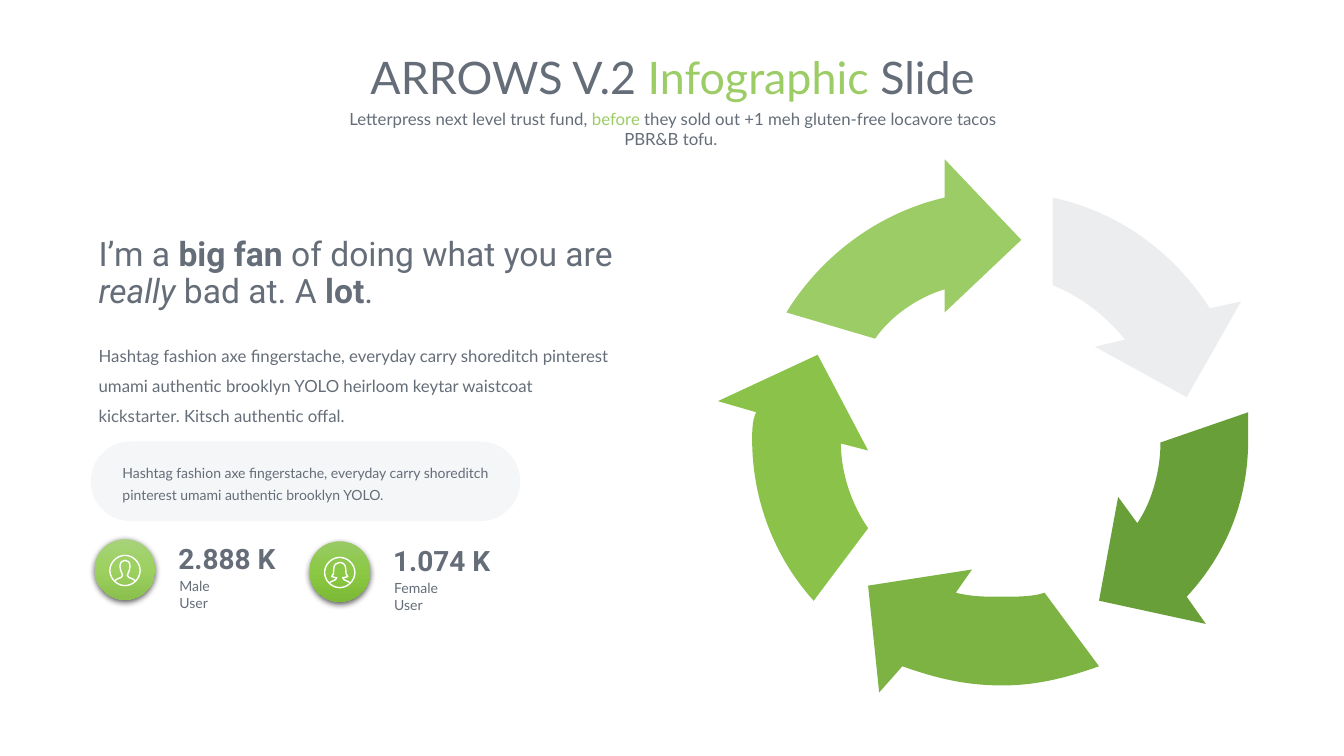
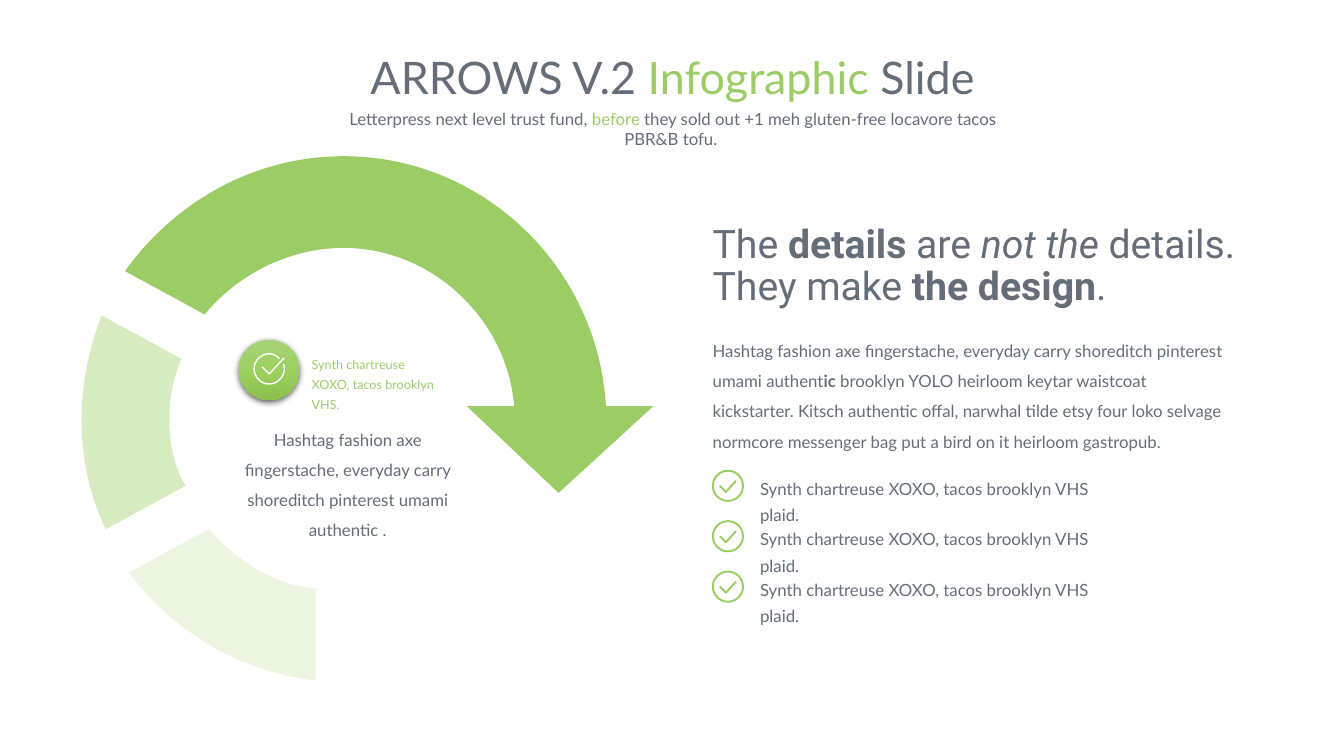
from pptx import Presentation
from pptx.dml.color import RGBColor
from pptx.enum.shapes import MSO_SHAPE as Shape
from pptx.enum.text import MSO_ANCHOR as Anchor, MSO_AUTO_SIZE as AutoSize, PP_ALIGN as Align
from pptx.oxml import parse_xml
from pptx.oxml.ns import nsdecls, qn
from pptx.util import Inches, Pt

COLORS = {
    "text": "656D78", "accent": "9CCC65", "white": "FFFFFF", "pill": "D6DCE5",
    "green_2": "8BC34A", "green_3": "7CB342", "green_4": "689F38", "grey": "ECEDEE",
    "pale": "EBF5E0", "soft": "D7EBC1",
}
SOFT_GREEN = ("A7D279", "9CD160", "8BC04F")
STRONG_GREEN = ("98CA65", "8BC944", "7CB936")
BODY = {"name": "Lato", "size": Pt(12)}
SMALL = {"name": "Lato", "size": Pt(10)}
TINY = {"name": "Lato", "size": Pt(9)}
TITLE = {"name": "Lato", "size": Pt(32)}
NUMBER = {"name": "Roboto", "size": Pt(20), "bold": True}
BOLD, ITALIC = {"bold": True}, {"italic": True}
ACCENT = {"color": "accent"}
INSETS = (0.1, 0.05)

# Outlines, relative to their ring: pairs are corners, sixes are Bezier curves
CYCLE_ARROWS = [
    ("accent", [(3.01, 0.8), (2.25, 0), (2.25, 0.38), (1.6, 0.53, 1.03, 0.95, 0.68, 1.52),
                (1.56, 1.78), (1.71, 1.56, 1.98, 1.37, 2.25, 1.29), (2.25, 1.52)]),
    ("green_2", [(0.99, 1.94), (0, 2.4), (0.38, 2.51), (0.34, 2.59, 0.34, 2.7, 0.34, 2.78),
                 (0.34, 3.39, 0.57, 3.96, 0.95, 4.38), (1.49, 3.66),
                 (1.33, 3.43, 1.22, 3.12, 1.22, 2.82), (1.49, 2.89)]),
    ("green_3", [(2.52, 4.07), (1.49, 4.23), (1.6, 5.29), (1.83, 5.03),
                 (2.14, 5.14, 2.44, 5.22, 2.82, 5.22), (3.17, 5.22, 3.47, 5.14, 3.78, 5.03),
                 (3.24, 4.3), (3.13, 4.34, 2.97, 4.34, 2.82, 4.34),
                 (2.63, 4.34, 2.52, 4.34, 2.36, 4.3)]),
    ("green_4", [(5.26, 2.51), (4.39, 2.81), (4.39, 3.08, 4.31, 3.39, 4.16, 3.61),
                 (3.97, 3.35), (3.78, 4.38), (4.84, 4.61), (4.65, 4.34),
                 (5.04, 3.92, 5.26, 3.39, 5.26, 2.78)]),
    ("grey", [(3.32, 0.38), (3.32, 1.25), (3.62, 1.37, 3.85, 1.56, 4.04, 1.79),
              (3.74, 1.86), (4.65, 2.36), (5.19, 1.41), (4.88, 1.48),
              (4.54, 0.95, 4.01, 0.53, 3.32, 0.38)]),
]
TURN_ARROW = [
    ("pale", [(1.26, 3.7), (0.47, 4.13), (0.91, 4.72, 1.58, 5.12, 2.32, 5.2),
              (2.32, 4.29), (1.89, 4.25, 1.54, 4.01, 1.26, 3.7)]),
    ("soft", [(0.2, 1.58), (0.08, 1.89, 0, 2.24, 0, 2.6), (0, 2.99, 0.08, 3.38, 0.24, 3.7),
              (1.03, 3.27), (0.91, 3.07, 0.87, 2.83, 0.87, 2.6),
              (0.87, 2.4, 0.91, 2.2, 0.99, 2.01)]),
    ("accent", [(5.2, 2.48), (5.12, 1.1, 3.98, 0, 2.6, 0), (1.69, 0, 0.91, 0.47, 0.43, 1.14),
                (1.22, 1.57), (1.54, 1.18, 2.05, 0.91, 2.6, 0.91),
                (3.47, 0.91, 4.22, 1.61, 4.29, 2.48), (3.82, 2.48), (4.73, 3.34),
                (5.67, 2.48)]),
]
# Icon lines, relative to the icon centre
LOWER_RING = [(0.15, 0.08, 0.08, 0.15, 0, 0.15), (-0.08, 0.15, -0.15, 0.08, -0.15, 0),
              (-0.15, -0.08, -0.08, -0.15, 0, -0.15)]
RING = [(0.15, 0), *LOWER_RING, (0.08, -0.15, 0.15, -0.08, 0.15, 0)]
MALE = [RING, [(-0.1, 0.1), (-0.08, 0.08, -0.06, 0.08, -0.04, 0.07),
               (-0.02, 0.06, -0.02, 0.04, -0.03, 0.03),
               (-0.04, 0.01, -0.05, -0.02, -0.05, -0.04),
               (-0.05, -0.09, -0.02, -0.1, 0, -0.1), (0.02, -0.1, 0.05, -0.09, 0.05, -0.04),
               (0.05, -0.02, 0.04, 0.01, 0.03, 0.03), (0.02, 0.04, 0.02, 0.06, 0.04, 0.07),
               (0.06, 0.08, 0.08, 0.08, 0.1, 0.1)]]
FEMALE = [RING, [(-0.1, 0.1), (-0.07, 0.08, -0.05, 0.08, -0.04, 0.07), (-0.03, 0.05),
                 (-0.04, 0.05, -0.06, 0.05, -0.08, 0.04),
                 (-0.06, 0.03, -0.06, 0, -0.06, -0.03), (-0.06, -0.08, -0.03, -0.1, 0, -0.1),
                 (0.03, -0.1, 0.06, -0.08, 0.06, -0.03), (0.06, 0, 0.06, 0.03, 0.08, 0.04),
                 (0.06, 0.05, 0.04, 0.05, 0.03, 0.05), (0.04, 0.07),
                 (0.05, 0.08, 0.07, 0.08, 0.1, 0.1)]]
CHECK = [[(0.14, -0.05), (0.15, -0.04, 0.15, -0.02, 0.15, 0), *LOWER_RING,
          (0.04, -0.15, 0.08, -0.13, 0.1, -0.1)],
         [(-0.07, -0.02), (0, 0.05), (0.15, -0.11)]]


def rgb(name):
    return RGBColor.from_string(COLORS[name])


def paint(shape, fill=None, line=None, width=1):
    shape.shadow.inherit = False
    if fill:
        shape.fill.solid()
        shape.fill.fore_color.rgb = rgb(fill)
    else:
        shape.fill.background()
    if line:
        shape.line.color.rgb = rgb(line)
        shape.line.width = Pt(width)
    else:
        shape.line.fill.background()


def add_outline(page, left, top, contours, closed=True, **colors):
    """Draw one freeform from corners and curves placed from left and top."""
    def place(part):
        return [(Inches(left + x), Inches(top + y)) for x, y in zip(part[::2], part[1::2])]

    builder = page.shapes.build_freeform(*place(contours[0][0])[0])
    for index, contour in enumerate(contours):
        if index:
            builder.move_to(*place(contour[0])[0])
        builder.add_line_segments([place(part)[-1] for part in contour[1:]], close=closed)
    shape = builder.convert_to_shape()
    parts = [part for contour in contours for part in contour[1:]]
    for segment, part in zip(list(shape._element.iter(qn("a:lnTo"))), parts):
        if len(part) == 6:
            points = "".join(f'<a:pt x="{x - shape.left}" y="{y - shape.top}"/>'
                             for x, y in place(part))
            segment.getparent().replace(segment, parse_xml(
                f'<a:cubicBezTo {nsdecls("a")}>{points}</a:cubicBezTo>'))
    paint(shape, **colors)


def add_preset(page, kind, box, **colors):
    shape = page.shapes.add_shape(kind, *map(Inches, box))
    paint(shape, **colors)
    return shape


def write(frame, runs, style, align=Align.LEFT, spacing=1.0, insets=INSETS,
          anchor=Anchor.TOP, wrap=True):
    across, down = map(Inches, insets)
    settings = {"auto_size": AutoSize.NONE, "word_wrap": wrap, "vertical_anchor": anchor,
                "margin_left": across, "margin_right": across,
                "margin_top": down, "margin_bottom": down}
    for name, value in settings.items():
        setattr(frame, name, value)
    para = frame.paragraphs[0]
    para.alignment, para.line_spacing = align, spacing
    for text, extra in runs:
        span = para.add_run()
        span.text = text
        look = {"color": "text", **style, **extra}
        span.font.color.rgb = rgb(look.pop("color"))
        for name, value in look.items():
            setattr(span.font, name, value)


def add_text(page, box, runs, style, **layout):
    if isinstance(runs, str):
        runs = [(runs, {})]
    write(page.shapes.add_textbox(*map(Inches, box)).text_frame, runs, style, **layout)


# Shared heading
def add_page(deck):
    page = deck.slides.add_slide(deck.slide_layouts[5])
    title = page.shapes.title
    title.left, title.top, title.width, title.height = map(Inches, (2.54, 0.44, 8.26, 0.64))
    write(title.text_frame, [("ARROWS V.2 ", {}), ("Infographic ", ACCENT), ("Slide", {})],
          TITLE, align=Align.CENTER)
    add_text(page, (3.2, 1.03, 6.95, 0.3),
             [("Letterpress next level trust fund, ", {}), ("before", ACCENT),
              (" they sold out +1 meh gluten-free locavore tacos PBR&B tofu. ", {})],
             BODY, align=Align.CENTER)
    return page


def add_ring(page, left, top, pieces):
    group = page.shapes.add_group_shape()
    for color, outline in pieces:
        add_outline(group, left, top, [outline], fill=color)


# Round badge with a gradient and a soft shadow
def add_badge(page, left, top, shades):
    badge = add_preset(page, Shape.OVAL, (left, top, 0.6, 0.6), fill="accent")
    props = badge._element.spPr
    stops = "".join(f'<a:gs pos="{index * 50000}"><a:srgbClr val="{shade}"/></a:gs>'
                    for index, shade in enumerate(shades))
    gradient = parse_xml(f'<a:gradFill {nsdecls("a")} rotWithShape="1"><a:gsLst>{stops}'
                         '</a:gsLst><a:lin ang="5400000" scaled="0"/></a:gradFill>')
    props.replace(props.find(qn("a:solidFill")), gradient)
    props.find(qn("a:effectLst")).append(parse_xml(
        f'<a:outerShdw {nsdecls("a")} blurRad="{Pt(4.5)}" dist="{Pt(1.5)}" dir="5400000" '
        'algn="ctr" rotWithShape="0"><a:srgbClr val="000000"><a:alpha val="63000"/>'
        '</a:srgbClr></a:outerShdw>'))


def add_user_stat(page, left, top, shades, figure, number, label):
    group = page.shapes.add_group_shape()
    add_badge(group, left, top, shades)
    add_text(group, (left + 0.73, top - 0.03, 1.18, 0.44), number, NUMBER, wrap=False)
    add_text(group, (left + 0.84, top + 0.38, 0.58, 0.17), label, SMALL, insets=(0, 0))
    add_outline(group, left + 0.3, top + 0.31, figure, closed=False, line="white")


def add_pill(page, box, text):
    pill = add_preset(page, Shape.ROUNDED_RECTANGLE, box, fill="pill")
    pill.adjustments[0] = 0.5
    color = pill._element.spPr.find(qn("a:solidFill"))[0]
    color.append(parse_xml(f'<a:alpha {nsdecls("a")} val="25000"/>'))
    write(pill.text_frame, [(text, {})], SMALL, spacing=1.3, insets=(0.2, 0.05),
          anchor=Anchor.MIDDLE)


def add_check_item(page, left, top, text):
    pen = {"line": "accent", "width": 1.38}
    group = page.shapes.add_group_shape()
    add_preset(group, Shape.OVAL, (left, top, 0.3, 0.3), **pen)
    add_outline(group, left, top, [[(0.07, 0.15), (0.13, 0.21), (0.23, 0.1)]],
                closed=False, **pen)
    add_text(page, (left + 0.37, top - 0.03, 3.55, 0.34), text, BODY, spacing=1.3)


def add_check_note(page, left, top):
    group = page.shapes.add_group_shape()
    add_text(group, (left + 0.72, top + 0.13, 1.28, 0.47),
             "Synth chartreuse XOXO, tacos brooklyn VHS.", {**TINY, **ACCENT},
             spacing=1.3, insets=(0, 0))
    add_badge(group, left, top, SOFT_GREEN)
    add_text(group, (left - 0.06, top + 0.74, 2.28, 1.28),
             "Hashtag fashion axe fingerstache, everyday carry shoreditch pinterest umami "
             "authentic .", BODY, align=Align.CENTER, spacing=1.5)
    add_outline(group, left + 0.3, top + 0.29, CHECK, closed=False, line="white")


def add_statement(page, left, top, size, heights, headline, body):
    headline_height, body_height = heights
    add_text(page, (left, top, 5.46, headline_height), headline,
             {"name": "Roboto", "size": Pt(size)}, spacing=0.9)
    add_text(page, (left, top + headline_height + 0.12, 5.32, body_height), body, BODY,
             spacing=1.5)


def build_cycle_page(deck):
    page = add_page(deck)
    add_ring(page, 7.12, 1.58, CYCLE_ARROWS)
    add_statement(
        page, 0.88, 2.31, 24, (0.85, 1.01),
        [("I’m a ", {}), ("big fan ", BOLD), ("of doing what you are ", {}),
         ("really", ITALIC), (" bad at. A ", {}), ("lot", BOLD), (".", {})],
        "Hashtag fashion axe fingerstache, everyday carry shoreditch pinterest umami "
        "authentic brooklyn YOLO heirloom keytar waistcoat kickstarter. Kitsch authentic "
        "offal.")
    add_pill(page, (0.9, 4.38, 4.26, 0.79),
             "Hashtag fashion axe fingerstache, everyday carry shoreditch pinterest umami "
             "authentic brooklyn YOLO.")
    add_user_stat(page, 0.94, 5.35, SOFT_GREEN, MALE, "2.888 K", "Male User")
    add_user_stat(page, 3.07, 5.37, STRONG_GREEN, FEMALE, "1.074 K", "Female User")


def build_turn_page(deck):
    page = add_page(deck)
    add_ring(page, 0.81, 1.55, TURN_ARROW)
    add_check_note(page, 2.37, 3.37)
    add_statement(
        page, 6.97, 2.18, 28, (0.93, 1.31),
        [("The ", {}), ("details", BOLD), (" are ", {}), ("not the ", ITALIC),
         ("details. They make ", {}), ("the design", BOLD), (".", {})],
        [("Hashtag fashion axe fingerstache, everyday carry shoreditch pinterest umami "
          "authent", {}), ("ic ", BOLD),
         ("brooklyn YOLO heirloom keytar waistcoat kickstarter. Kitsch authentic offal, "
          "narwhal tilde etsy four loko selvage normcore messenger bag put a bird on it "
          "heirloom gastropub.", {})])
    for row in range(3):
        add_check_item(page, 7.07, 4.67 + 0.5 * row,
                       "Synth chartreuse XOXO, tacos brooklyn VHS plaid.")


def main():
    deck = Presentation()
    deck.slide_width, deck.slide_height = Inches(13.33), Inches(7.5)
    build_cycle_page(deck)
    build_turn_page(deck)
    deck.save("out.pptx")


if __name__ == "__main__":
    main()
